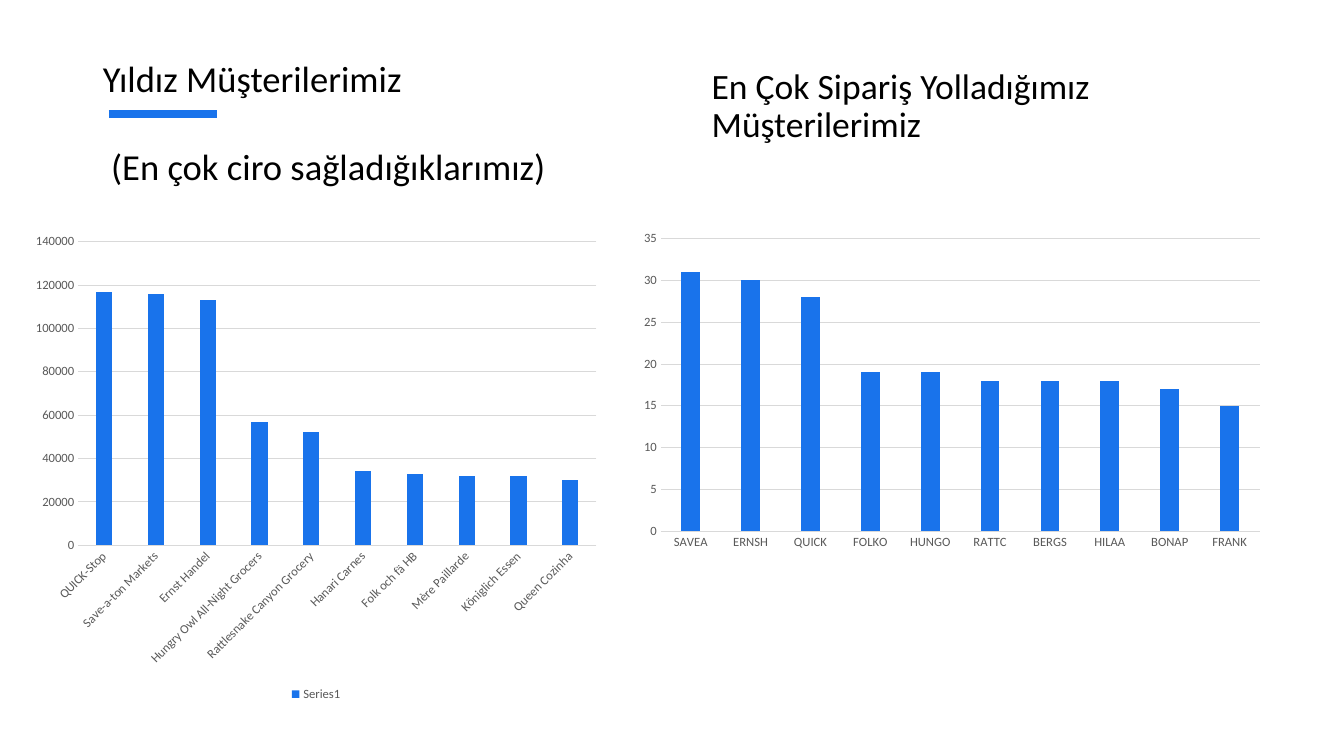
import pptx
import pptx.chart.data
import pptx.dml.color
import pptx.enum.chart
import pptx.enum.shapes
import pptx.enum.text
import pptx.oxml
import pptx.util

Inches = pptx.util.Inches
Pt = pptx.util.Pt
RGBColor = pptx.dml.color.RGBColor

FONT = "Calibri"
BLUE = RGBColor(0x19, 0x73, 0xEB)
BLACK = RGBColor(0x00, 0x00, 0x00)
GREY = RGBColor(0x59, 0x59, 0x59)
GRID = RGBColor(0xD9, 0xD9, 0xD9)

REVENUE = {
    "QUICK-Stop": 117000,
    "Save-a-ton Markets": 116000,
    "Ernst Handel": 113000,
    "Hungry Owl All-Night Grocers": 57000,
    "Rattlesnake Canyon Grocery": 52000,
    "Hanari Carnes": 34000,
    "Folk och fä HB": 33000,
    "Mère Paillarde": 32000,
    "Königlich Essen": 32000,
    "Queen Cozinha": 30000,
}
ORDERS = {
    "SAVEA": 31,
    "ERNSH": 30,
    "QUICK": 28,
    "FOLKO": 19,
    "HUNGO": 19,
    "RATTC": 18,
    "BERGS": 18,
    "HILAA": 18,
    "BONAP": 17,
    "FRANK": 15,
}


def style_font(font, size, color):
    font.name = FONT
    font.size = Pt(size)
    font.bold = False
    font.color.rgb = color


def write_lines(frame, lines, size, spacing, gap=0):
    frame.word_wrap = True
    frame.auto_size = pptx.enum.text.MSO_AUTO_SIZE.NONE
    for index, line in enumerate(lines):
        para = frame.add_paragraph() if index else frame.paragraphs[0]
        para.alignment = pptx.enum.text.PP_ALIGN.LEFT
        para.line_spacing = spacing
        para.space_before = Pt(gap if index else 0)
        span = para.add_run()
        span.text = line
        style_font(span.font, size, BLACK)


def place_title(page, lines):
    title = page.shapes.title
    title.left, title.top = Inches(0.92), Inches(0.51)
    title.width, title.height = Inches(4.99), Inches(1.36)
    title.text_frame.vertical_anchor = pptx.enum.text.MSO_ANCHOR.TOP
    write_lines(title.text_frame, lines, 26.1, 1.0, gap=31)


def add_heading(page, lines):
    box = page.shapes.add_textbox(Inches(6.96), Inches(0.51), Inches(4.96), Inches(1.54))
    box.text_frame.vertical_anchor = pptx.enum.text.MSO_ANCHOR.MIDDLE
    box.text_frame.margin_bottom = Inches(0.48)
    write_lines(box.text_frame, lines, 25.4, 0.9)


def add_accent(page):
    accent = page.shapes.add_connector(
        pptx.enum.shapes.MSO_CONNECTOR.STRAIGHT,
        Inches(1.08), Inches(1.13), Inches(2.15), Inches(1.13))
    accent.line.color.rgb = BLUE
    accent.line.width = Pt(6)
    properties = accent.element.spPr
    properties.append(pptx.oxml.parse_xml(
        '<a:effectLst xmlns:a="http://schemas.openxmlformats.org/drawingml/2006/main"/>'))


def style_axis(axis):
    axis.major_tick_mark = pptx.enum.chart.XL_TICK_MARK.NONE
    axis.minor_tick_mark = pptx.enum.chart.XL_TICK_MARK.NONE
    style_font(axis.tick_labels.font, 9, GREY)


def style_line(line):
    line.color.rgb = GRID
    line.width = Pt(0.75)


def add_columns(page, left, top, width, height, name, values, maximum, step):
    data = pptx.chart.data.CategoryChartData()
    data.categories = list(values)
    data.add_series(name, list(values.values()))
    chart = page.shapes.add_chart(
        pptx.enum.chart.XL_CHART_TYPE.COLUMN_CLUSTERED,
        Inches(left), Inches(top), Inches(width), Inches(height), data).chart
    style_font(chart.font, 10, BLACK)
    chart.has_title = False
    chart.has_legend = False

    plot = chart.plots[0]
    plot.gap_width = 219
    plot.overlap = -27
    plot.vary_by_categories = False
    fill = plot.series[0].format.fill
    fill.solid()
    fill.fore_color.rgb = BLUE

    style_axis(chart.category_axis)
    style_line(chart.category_axis.format.line)
    value_axis = chart.value_axis
    style_axis(value_axis)
    value_axis.format.line.fill.background()
    value_axis.minimum_scale = 0
    value_axis.maximum_scale = maximum
    value_axis.major_unit = step
    style_line(value_axis.major_gridlines.format.line)
    return chart


def add_legend(chart):
    chart.has_legend = True
    chart.legend.position = pptx.enum.chart.XL_LEGEND_POSITION.BOTTOM
    chart.legend.include_in_layout = False
    style_font(chart.legend.font, 9, GREY)


def slant_categories(chart):
    labels = chart.category_axis.tick_labels.font
    body = chart.category_axis._element.txPr.bodyPr
    body.set("rot", "-2700000")
    body.set("vert", "horz")
    labels.size = Pt(9)


def main():
    deck = pptx.Presentation()
    deck.slide_width, deck.slide_height = Inches(13.33), Inches(7.5)
    page = deck.slides.add_slide(deck.slide_layouts[5])
    add_accent(page)
    place_title(page, ["Yıldız Müşterilerimiz", "\u00a0(En çok ciro sağladığıklarımız)"])
    revenue = add_columns(page, 0.24, 2.23, 5.79, 4.77, "Series1", REVENUE, 140000, 20000)
    add_legend(revenue)
    slant_categories(revenue)
    add_columns(page, 6.26, 2.23, 6.36, 3.29, "Series 1", ORDERS, 35, 5)
    add_heading(page, ["En Çok Sipariş Yolladığımız", "Müşterilerimiz"])
    deck.save("out.pptx")


if __name__ == "__main__":
    main()
